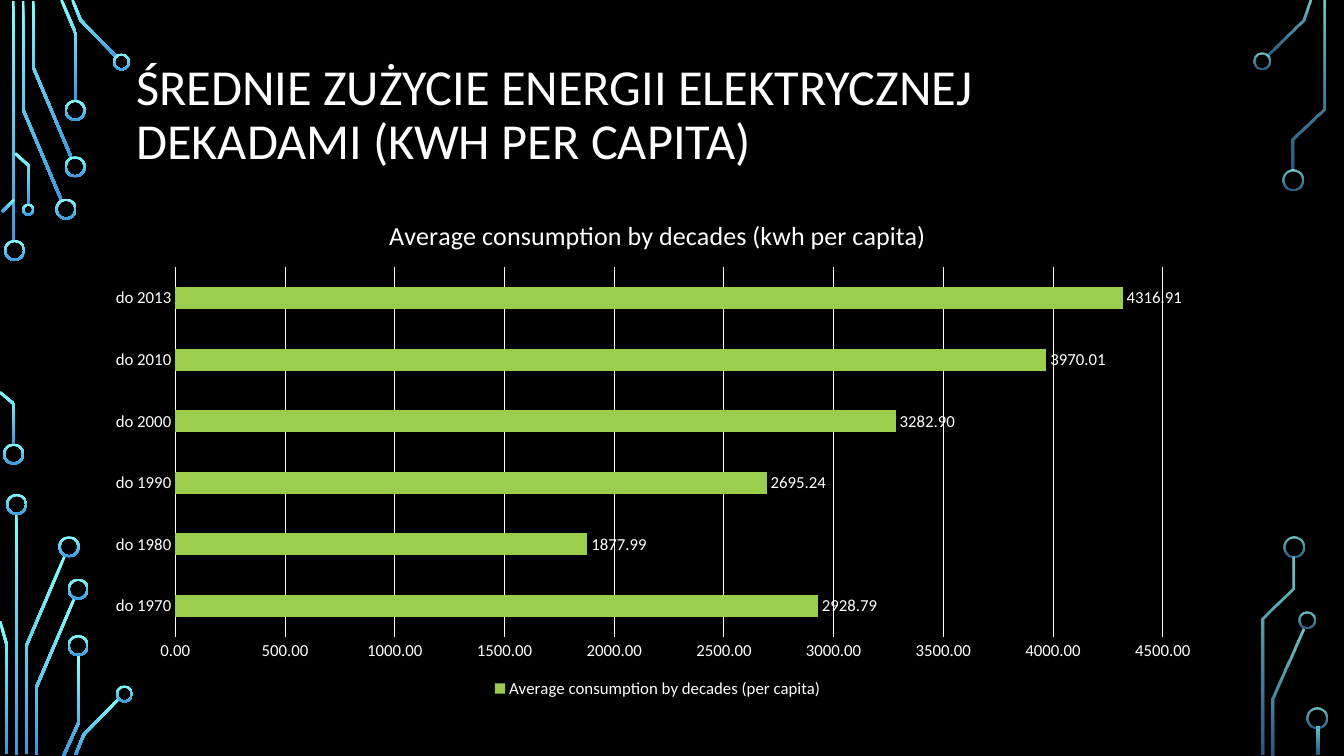
"""Build the slide on average electricity consumption by decade."""
from dataclasses import dataclass
from math import hypot

from lxml import etree
from pptx import Presentation
from pptx.chart.chart import Chart
from pptx.chart.data import CategoryChartData
from pptx.dml.color import RGBColor
from pptx.enum.chart import XL_CHART_TYPE, XL_LABEL_POSITION, XL_LEGEND_POSITION, XL_TICK_MARK
from pptx.enum.shapes import MSO_SHAPE
from pptx.enum.text import MSO_ANCHOR, PP_ALIGN
from pptx.oxml.ns import qn
from pptx.shapes.autoshape import Shape
from pptx.slide import Slide
from pptx.text.text import Font, TextFrame
from pptx.util import Emu, Pt

BAR_CLUSTERED = XL_CHART_TYPE.BAR_CLUSTERED
OUTSIDE_END = XL_LABEL_POSITION.OUTSIDE_END
LEGEND_BOTTOM = XL_LEGEND_POSITION.BOTTOM
NO_TICK = XL_TICK_MARK.NONE
DONUT = MSO_SHAPE.DONUT
RECTANGLE = MSO_SHAPE.RECTANGLE
MIDDLE = MSO_ANCHOR.MIDDLE
LEFT, CENTER = PP_ALIGN.LEFT, PP_ALIGN.CENTER

EMU_PER_PX = 9144
FONT_NAME = "Calibri"
NUMBER_FORMAT = "0.00"
BLACK = RGBColor(0x00, 0x00, 0x00)
WHITE = RGBColor(0xFF, 0xFF, 0xFF)
CYAN = RGBColor(0x82, 0xFF, 0xFF)
BLUE = RGBColor(0x3D, 0x97, 0xDE)
GREEN = RGBColor(0x9A, 0xCD, 0x4C)
TRACE_WIDTH = 2.6
RING_WIDTH = 2

Point = tuple[float, float]


@dataclass(frozen=True)
class Bar:
    """A straight upright track."""
    left: int
    top: int
    height: int


@dataclass(frozen=True)
class Ring:
    """A round track end."""
    left: int
    top: int
    size: int = 21


@dataclass(frozen=True)
class Trace:
    """A bent track given by its centre line."""
    points: tuple[Point, ...]


@dataclass(frozen=True)
class Circuit:
    """One side's tracks with the opacity of both gradient ends."""
    opacities: tuple[int, int]
    tracks: tuple[Bar | Ring | Trace, ...]


LEFT_CIRCUIT = Circuit((100, 100), (
    Bar(12, 1, 239), Bar(15, 510, 239),
    Trace(((23, 1), (23, 109), (61, 199))),
    Trace(((33, 1), (33, 67), (71, 157))),
    Trace(((61, 0), (75, 33), (75, 100))),
    Trace(((72, 0), (80, 20), (116, 57))),
    Trace(((2, 210), (14, 198))),
    Trace(((0, 389), (14, 401), (14, 441))),
    Trace(((15, 152), (29, 165), (29, 203))),
    Trace(((26, 748), (26, 641), (64, 552))),
    Trace(((0, 616), (7, 641), (7, 748))),
    Trace(((36, 749), (36, 682), (74, 593))),
    Trace(((63, 750), (78, 717), (78, 650))),
    Trace(((75, 749), (83, 729), (118, 693))),
    Ring(4, 238), Ring(3, 440), Ring(55, 197), Ring(64, 155), Ring(64, 99),
    Ring(112, 53, 17), Ring(22, 202, 12), Ring(6, 490), Ring(58, 532),
    Ring(67, 574), Ring(67, 630), Ring(115, 680, 17),
))
RIGHT_CIRCUIT = Circuit((80, 60), (
    Bar(1306, 721, 28),
    Trace(((1257, 55), (1293, 20), (1300, 0))),
    Trace(((1262, 749), (1262, 693), (1293, 624))),
    Trace(((1282, 169), (1282, 138), (1313, 108), (1313, 1))),
    Trace(((1252, 749), (1252, 614), (1283, 584), (1283, 552))),
    Ring(1243, 52, 17), Ring(1272, 168), Ring(1288, 607, 17),
    Ring(1273, 532), Ring(1296, 702),
))
CONSUMPTION = {
    "do 1970": 2928.79, "do 1980": 1877.99, "do 1990": 2695.24,
    "do 2000": 3282.90, "do 2010": 3970.01, "do 2013": 4316.91,
}
PLOT_LAYOUT = {"x": 0.07, "y": 0.14, "w": 0.88, "h": 0.73}


def px(length: float) -> Emu:
    """Turn px into EMU."""
    return Emu(round(length * EMU_PER_PX))


def set_font(font: Font, size: float, color: RGBColor = WHITE) -> None:
    """Give a font the slide's typeface."""
    font.name, font.size, font.bold = FONT_NAME, Pt(size), False
    font.color.rgb = color


def write_text(frame: TextFrame, text: str, *, size: float,
               align: PP_ALIGN = LEFT, spacing: float = 1.0) -> None:
    """Write one formatted paragraph."""
    paragraph = frame.paragraphs[0]
    paragraph.alignment, paragraph.line_spacing = align, spacing
    run = paragraph.add_run()
    run.text = text
    set_font(run.font, size)


def trace_outline(points: tuple[Point, ...]) -> list[Point]:
    """Widen a centre line into a closed mitred outline."""
    normals = []
    for (x1, y1), (x2, y2) in zip(points, points[1:]):
        length = hypot(x2 - x1, y2 - y1)
        normals.append(((y1 - y2) / length, (x2 - x1) / length))
    near, far = [], []
    for (x, y), (ax, ay), (bx, by) in zip(points, normals[:1] + normals, normals + normals[-1:]):
        reach = TRACE_WIDTH / 2 / (1 + ax * bx + ay * by)
        dx, dy = (ax + bx) * reach, (ay + by) * reach
        near.append((x + dx, y + dy))
        far.append((x - dx, y - dy))
    return near + far[::-1]


def add_track(slide: Slide, track: Bar | Ring | Trace) -> Shape:
    """Add the outline of one circuit track."""
    if isinstance(track, Bar):
        return slide.shapes.add_shape(
            RECTANGLE, px(track.left), px(track.top), px(TRACE_WIDTH), px(track.height))
    if isinstance(track, Ring):
        ring = slide.shapes.add_shape(
            DONUT, px(track.left), px(track.top), px(track.size), px(track.size))
        ring.adjustments[0] = RING_WIDTH / track.size
        return ring
    start, *rest = [(px(x), px(y)) for x, y in trace_outline(track.points)]
    builder = slide.shapes.build_freeform(*start)
    builder.add_line_segments(rest, close=True)
    return builder.convert_to_shape()


def draw_circuit(slide: Slide, circuit: Circuit) -> None:
    """Draw a circuit with its downward gradient."""
    for track in circuit.tracks:
        shape = add_track(slide, track)
        shape.shadow.inherit = False
        shape.line.fill.background()
        shape.fill.gradient()
        shape.fill.gradient_angle = 270
        for stop, color in zip(shape.fill.gradient_stops, (CYAN, BLUE)):
            stop.color.rgb = color
        for color_node, opacity in zip(shape._element.iter(qn("a:srgbClr")), circuit.opacities):
            if opacity < 100:
                etree.SubElement(color_node, qn("a:alpha"), val=str(opacity * 1000))


def place_plot(chart: Chart) -> None:
    """Fix the inner plot area inside the chart."""
    plot_area = chart._chartSpace.find(".//" + qn("c:plotArea"))
    for old_layout in plot_area.findall(qn("c:layout")):
        plot_area.remove(old_layout)
    layout = etree.Element(qn("c:layout"))
    plot_area.insert(0, layout)
    manual = etree.SubElement(layout, qn("c:manualLayout"))
    settings = {"layoutTarget": "inner", "xMode": "edge", "yMode": "edge", **PLOT_LAYOUT}
    for name, value in settings.items():
        etree.SubElement(manual, qn(f"c:{name}"), val=str(value))


def draw_chart(slide: Slide) -> None:
    """Draw the consumption bar chart."""
    data = CategoryChartData(number_format=NUMBER_FORMAT)
    data.categories = list(CONSUMPTION)
    data.add_series("Average consumption by decades (per capita)", list(CONSUMPTION.values()))
    chart = slide.shapes.add_chart(BAR_CLUSTERED, px(96), px(195), px(1113), px(502), data).chart
    set_font(chart.font, 10)
    write_text(chart.chart_title.text_frame, "Average consumption by decades (kwh per capita)",
               size=18.6, align=CENTER)
    chart.has_legend = True
    chart.legend.position = LEGEND_BOTTOM
    chart.legend.include_in_layout = False
    set_font(chart.legend.font, 12)

    plot = chart.plots[0]
    plot.gap_width, plot.vary_by_categories = 182, False
    fill = plot.series[0].format.fill
    fill.solid()
    fill.fore_color.rgb = GREEN
    plot.has_data_labels = True
    labels = plot.data_labels
    labels.show_value, labels.position = True, OUTSIDE_END
    labels.number_format, labels.number_format_is_linked = NUMBER_FORMAT, False
    set_font(labels.font, 12)

    category_axis, value_axis = chart.category_axis, chart.value_axis
    for axis in (category_axis, value_axis):
        axis.major_tick_mark = axis.minor_tick_mark = NO_TICK
        set_font(axis.tick_labels.font, 12)
    value_axis.minimum_scale, value_axis.maximum_scale, value_axis.major_unit = 0, 4500, 500
    value_axis.tick_labels.number_format = NUMBER_FORMAT
    value_axis.tick_labels.number_format_is_linked = False
    value_axis.format.line.fill.background()
    for line in (category_axis.format.line, value_axis.major_gridlines.format.line):
        line.color.rgb, line.width = WHITE, Pt(0.75)
    place_plot(chart)


def main() -> None:
    """Build and save the presentation."""
    presentation = Presentation()
    presentation.slide_width, presentation.slide_height = px(1333), px(750)
    slide = presentation.slides.add_slide(presentation.slide_layouts[5])
    slide.background.fill.solid()
    slide.background.fill.fore_color.rgb = BLACK
    for circuit in (LEFT_CIRCUIT, RIGHT_CIRCUIT):
        draw_circuit(slide, circuit)
    title = slide.shapes.title
    title.left, title.top, title.width, title.height = px(125), px(34), px(1083), px(162)
    title.text_frame.vertical_anchor, title.text_frame.word_wrap = MIDDLE, True
    write_text(title.text_frame, "ŚREDNIE ZUŻYCIE ENERGII ELEKTRYCZNEJ DEKADAMI (KWH PER CAPITA)",
               size=36, spacing=0.9)
    draw_chart(slide)
    presentation.save("out.pptx")


if __name__ == "__main__":
    main()
